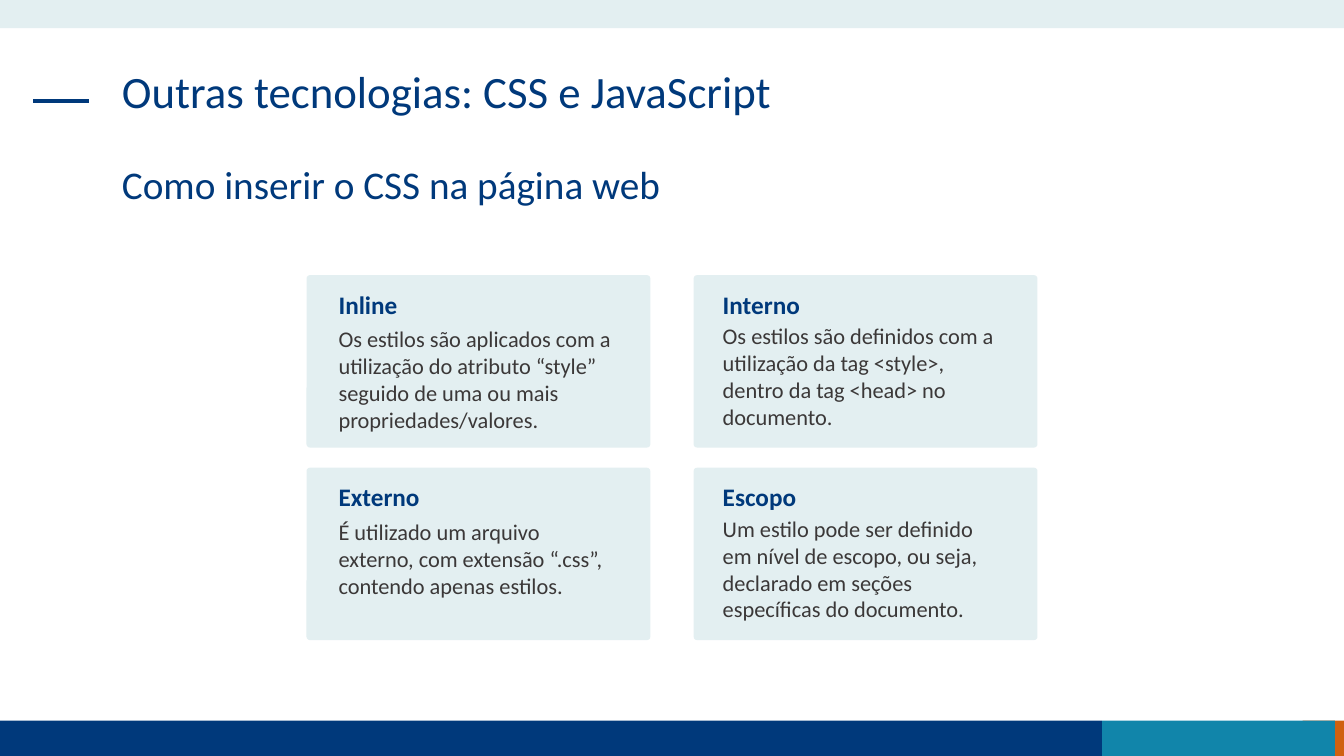
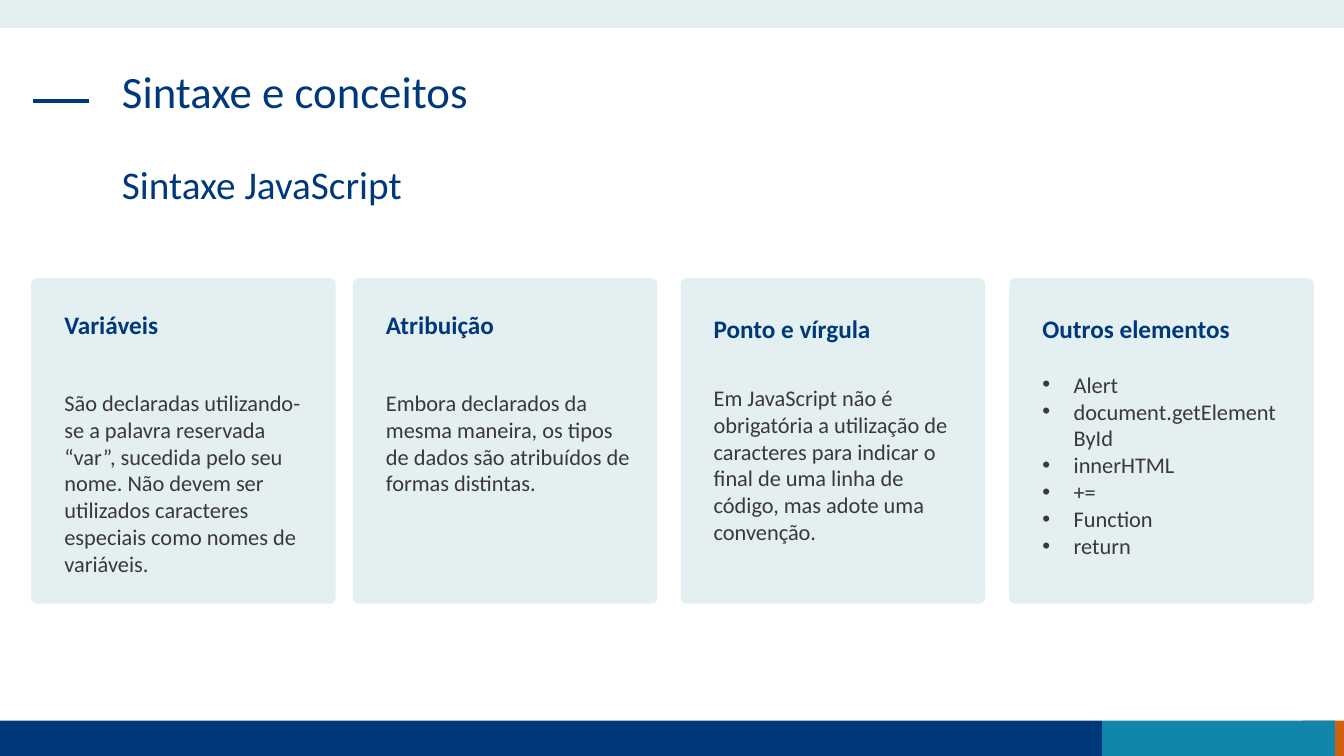
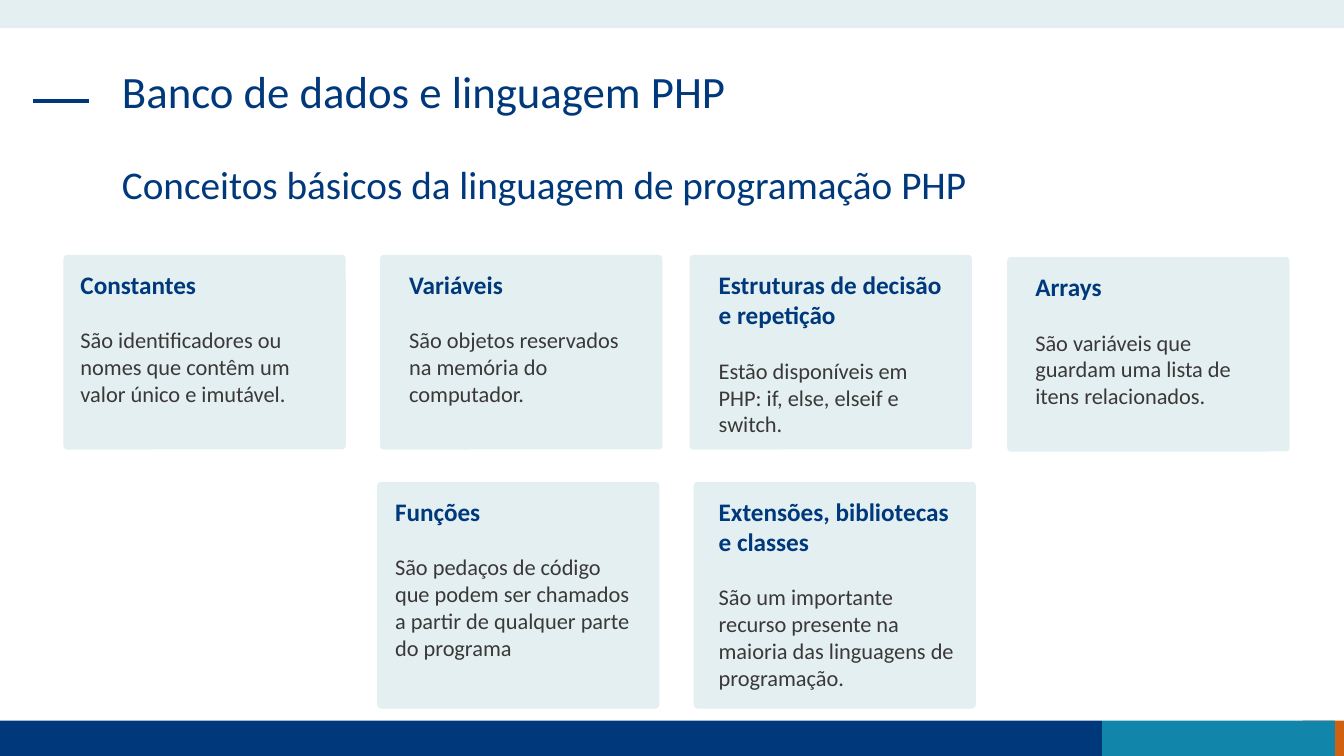
from lxml import etree
from pptx import Presentation
from pptx.dml.color import RGBColor
from pptx.enum.shapes import MSO_CONNECTOR, MSO_SHAPE
from pptx.enum.text import MSO_ANCHOR, MSO_AUTO_SIZE as AUTO, PP_ALIGN
from pptx.oxml.ns import qn
from pptx.util import Inches, Pt

COLORS = {"navy": "00397B", "teal": "1185AA", "orange": "D06110",
          "pale": "E3EFF1", "text": "3B3838"}
FONT = "Calibri"
HEADING = (18, "navy", True)
BODY = (16, "text", False)
BLANK_LINE = 19.5

CSS_CARDS = [
    [("Inline", "Os estilos são aplicados com a utilização do atributo “style” "
      "seguido de uma ou mais propriedades/valores.", 1.18),
     ("Interno", "Os estilos são definidos com a utilização da tag <style>, "
      "dentro da tag <head> no documento.", 1.18)],
    [("Externo", "É utilizado um arquivo externo, com extensão “.css”, "
      "contendo apenas estilos.", 0.91),
     ("Escopo", "Um estilo pode ser definido em nível de escopo, ou seja, "
      "declarado em seções específicas do documento.", 1.18)],
]
# card left, heading top, body top, body height, heading, body
JS_CARDS = [
    (0.31, 3.02, 3.81, 1.99, "Variáveis",
     "São declaradas utilizando-se a palavra reservada “var”, sucedida pelo seu "
     "nome. Não devem ser utilizados caracteres especiais como nomes de variáveis."),
    (3.5, 3.02, 3.81, 1.18, "Atribuição",
     "Embora declarados da mesma maneira, os tipos de dados são atribuídos de "
     "formas distintas."),
    (6.75, 3.06, 3.76, 1.72, "Ponto e vírgula",
     "Em JavaScript não é obrigatória a utilização de caracteres para indicar o "
     "final de uma linha de código, mas adote uma convenção."),
    (10.01, 3.06, 3.63, 1.99, "Outros elementos",
     ["Alert", "document.getElementById", "innerHTML", "+=", "Function", "return"]),
]
# card left, top, height, text left, text width, text height, heading, body
PHP_CARDS = [
    (0.63, 2.53, 1.93, 0.7, 2.43, 1.48, "Constantes",
     "São identificadores ou nomes que contêm um valor único e imutável."),
    (3.77, 2.53, 1.93, 3.96, 2.43, 1.48, "Variáveis",
     "São objetos reservados na memória do computador."),
    (6.84, 2.53, 1.93, 7.03, 2.43, 1.78, "Estruturas de decisão e repetição",
     "Estão disponíveis em PHP: if, else, elseif e switch."),
    (9.99, 2.55, 1.93, 10.17, 2.43, 1.48, "Arrays",
     "São variáveis que guardam uma lista de itens relacionados."),
    (3.74, 4.78, 2.25, 3.82, 2.63, 2.04, "Funções",
     "São pedaços de código que podem ser chamados a partir de qualquer parte "
     "do programa"),
    (6.88, 4.78, 2.25, 7.03, 2.57, 2.06, "Extensões, bibliotecas e classes",
     "São um importante recurso presente na maioria das linguagens de programação."),
]


def rgb(name):
    return RGBColor.from_string(COLORS[name])


def box(x, y, w, h):
    return [Inches(v) for v in (x, y, w, h)]


def style(p, size, color, bold=False):
    for r in p.runs:
        f = r.font
        f.name, f.size, f.bold = FONT, Pt(size), bold
        f.color.rgb = rgb(color)


def set_bullet(p, char=None, indent=0):
    """Give the paragraph a bullet, or remove the inherited one."""
    pPr = p._p.get_or_add_pPr()
    pPr.set("marL", str(Inches(indent)))
    pPr.set("indent", str(-Inches(indent)))
    if char:
        etree.SubElement(pPr, qn("a:buFont")).set("typeface", "Arial")
        etree.SubElement(pPr, qn("a:buChar")).set("char", char)
    else:
        etree.SubElement(pPr, qn("a:buNone"))


def add_block(slide, kind, color, *at):
    sp = slide.shapes.add_shape(kind, *box(*at))
    sp.shadow.inherit = False
    sp.fill.solid()
    sp.fill.fore_color.rgb = rgb(color)
    sp.line.fill.background()
    return sp


def add_card(slide, *at):
    add_block(slide, MSO_SHAPE.ROUNDED_RECTANGLE, "pale", *at).adjustments[0] = 0.019


def add_text(slide, at, paragraphs, gap=0, bullet=None):
    """Write (text, style) paragraphs with a gap in points between them."""
    sp = slide.shapes.add_textbox(*box(*at))
    tf = sp.text_frame
    tf.word_wrap = True
    tf.auto_size = AUTO.SHAPE_TO_FIT_TEXT
    for i, (text, look) in enumerate(paragraphs):
        p = tf.add_paragraph() if i else tf.paragraphs[0]
        p.text = text
        if bullet:
            set_bullet(p, bullet, 0.31)
        if i and gap:
            p.space_before = Pt(gap)
        style(p, *look)


def fill_placeholder(sp, text, top, size):
    sp.left, sp.top, sp.width, sp.height = box(1.11, top, 11.1, 0.94)
    tf = sp.text_frame
    tf.text = text
    tf.word_wrap = True
    tf.auto_size = AUTO.NONE
    tf.vertical_anchor = MSO_ANCHOR.TOP
    p = tf.paragraphs[0]
    set_bullet(p)
    p.alignment = PP_ALIGN.LEFT
    p.line_spacing = 0.9
    p.space_before = Pt(0)
    style(p, size, "navy")


def add_bands(slide):
    blocks = [("orange", 12.92, 7.15, 0.41, 0.35), ("navy", 0, 7.15, 10.93, 0.35),
              ("teal", 10.93, 7.15, 2.31, 0.35), ("pale", 0, 0, 13.33, 0.28)]
    shapes = [add_block(slide, MSO_SHAPE.RECTANGLE, *b) for b in blocks]
    dash = slide.shapes.add_connector(MSO_CONNECTOR.STRAIGHT, *box(0.33, 1, 0.88, 1))
    dash.line.color.rgb = rgb("navy")
    dash.line.width = Pt(3)
    etree.SubElement(dash.element.spPr, qn("a:effectLst"))
    return shapes + [dash]


def move_to_layout(shapes, layout):
    """Make the shapes part of the layout, in place of its footer fields."""
    tree = layout.shapes.element
    for sp in list(layout.placeholders)[2:]:
        tree.remove(sp.element)
    for sp in shapes:
        tree.append(sp.element)


def add_slide(prs, title, subtitle):
    slide = prs.slides.add_slide(prs.slide_layouts[1])
    fill_placeholder(slide.shapes.title, title, 0.64, 32)
    fill_placeholder(slide.placeholders[1], subtitle, 1.59, 28)
    return slide


def add_css_cards(slide):
    columns = [(0.22, 0.45), (0.19, 0.42)]
    for row, cards in enumerate(CSS_CARDS):
        for col, (heading, body, h) in enumerate(cards):
            x, y = 3.04 + 3.84 * col, 2.73 + 1.91 * row
            dx, dy = columns[col]
            add_card(slide, x, y, 3.41, 1.71)
            add_text(slide, (x + dx, y + 0.09, 2.96, 0.4), [(heading, HEADING)])
            add_text(slide, (x + dx, y + dy, 2.96, h), [(body, BODY)])


def add_js_cards(slide):
    for x, heading_y, body_y, h, heading, body in JS_CARDS:
        is_list = isinstance(body, list)
        lines = body if is_list else [body]
        add_card(slide, x, 2.76, 3.02, 3.23)
        add_text(slide, (x + 0.23, heading_y, 2.62, 0.4), [(heading, HEADING)])
        add_text(slide, (x + 0.23, body_y, 2.62, h), [(t, BODY) for t in lines],
                 bullet="•" if is_list else None)


def add_php_cards(slide):
    for x, y, h, text_x, text_w, text_h, heading, body in PHP_CARDS:
        add_card(slide, x, y, 2.8, h)
        add_text(slide, (text_x, y + 0.09, text_w, text_h),
                 [(heading, HEADING), (body, BODY)], gap=BLANK_LINE)


def main():
    prs = Presentation()
    prs.slide_width, prs.slide_height = Inches(13.33), Inches(7.5)

    css = add_slide(prs, "Outras tecnologias: CSS e JavaScript",
                    "Como inserir o CSS na página web")
    move_to_layout(add_bands(css), css.slide_layout)
    add_css_cards(css)
    add_js_cards(add_slide(prs, "Sintaxe e conceitos", "Sintaxe JavaScript"))
    add_php_cards(add_slide(prs, "Banco de dados e linguagem PHP",
                            "Conceitos básicos da linguagem de programação PHP"))
    prs.save("out.pptx")


if __name__ == "__main__":
    main()
